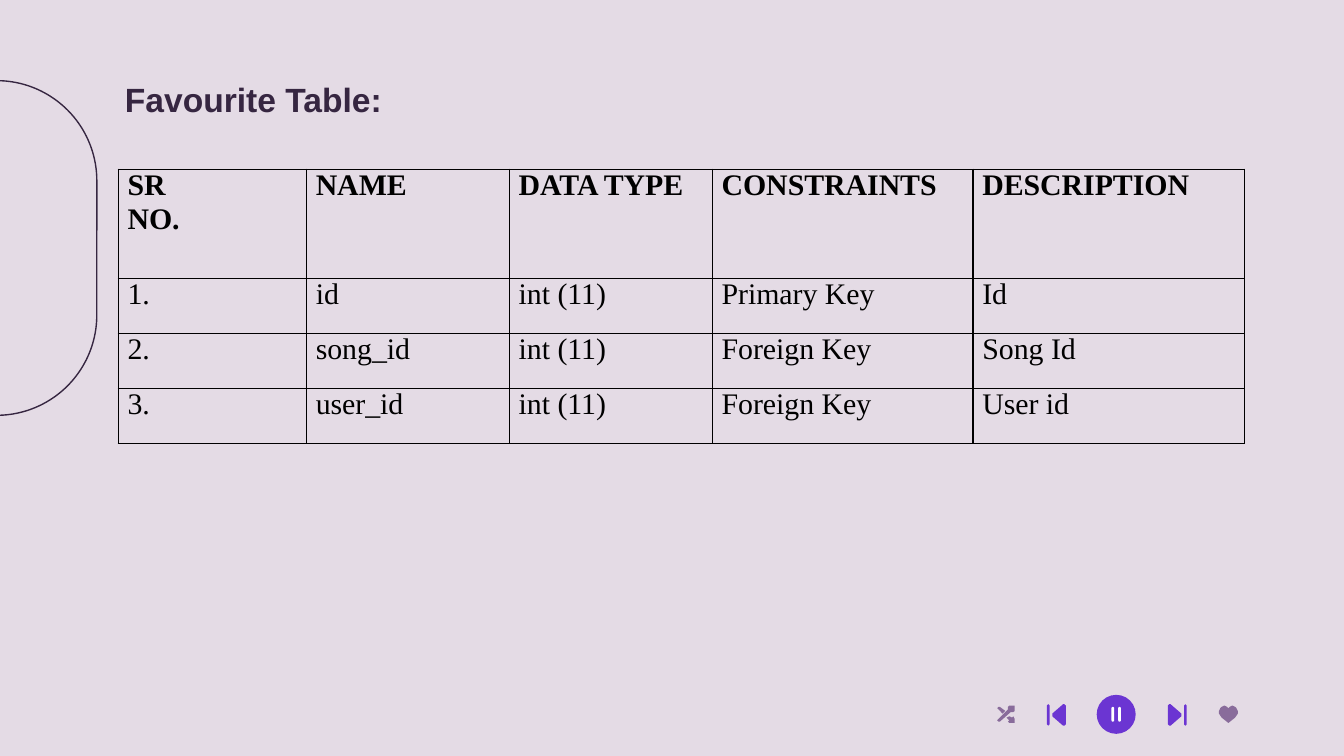
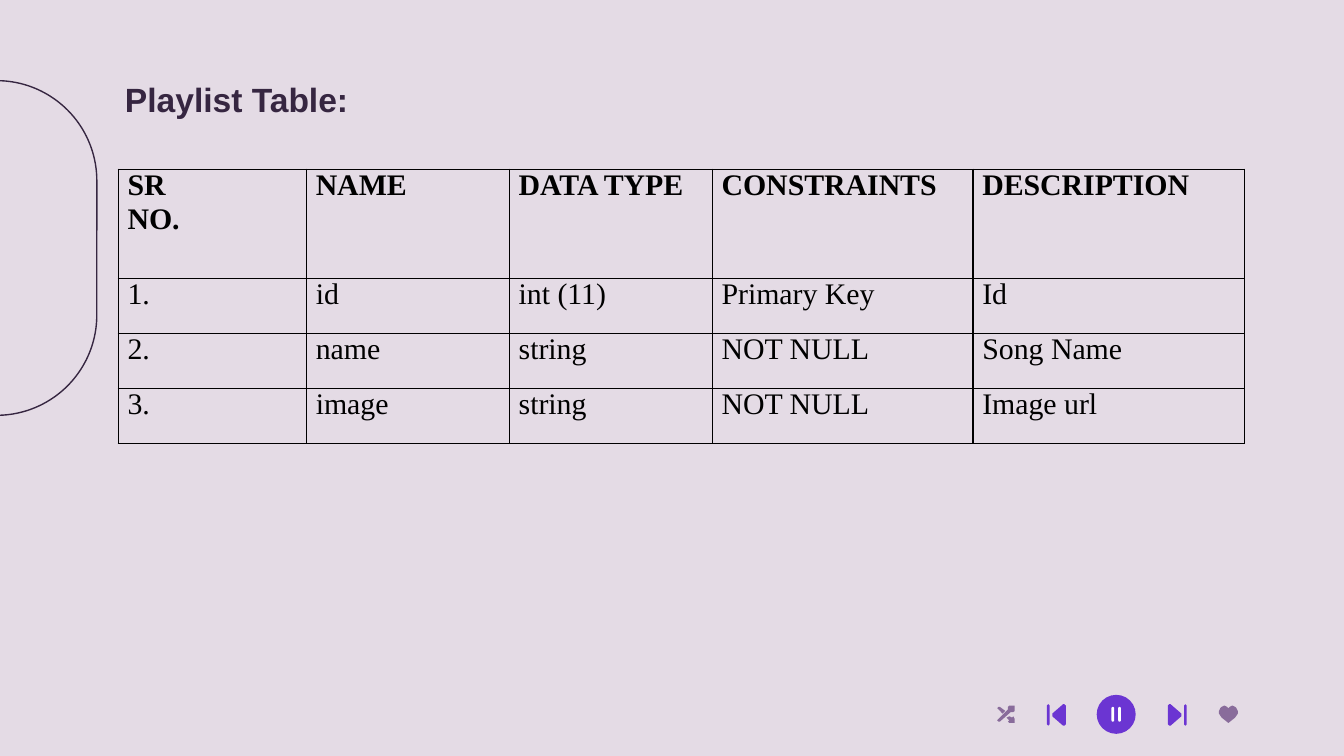
from dataclasses import dataclass

from lxml import etree
from pptx import Presentation
from pptx import util as u
from pptx.dml.color import RGBColor
from pptx.enum import shapes, text
from pptx.oxml import ns

# Shared style: 100 px to the inch, on a 16:9 page
PX = 9144
PAGE_WIDTH = 1000
BACKGROUND, INK, BLACK, WHITE = "E4DBE5", "362641", "000000", "FFFFFF"
VIOLET, MAUVE = "6B35D2", "896C9B"
TITLE_FONT, TABLE_FONT = "Arial", "Times New Roman"

# Table grid
TABLE_LEFT, TABLE_TOP = 88, 126
COLUMN_WIDTHS = (140, 151, 151, 194, 202)
HEADER_HEIGHT, ROW_HEIGHT = 81, 41
HEADER = ("SR\nNO.", "NAME", "DATA TYPE", "CONSTRAINTS", "DESCRIPTION")

Contour = tuple[tuple[int, int], ...]


@dataclass(frozen=True)
class Icon:
    left: int
    top: int
    color: str
    contours: tuple[Contour, ...]


@dataclass(frozen=True)
class TablePage:
    title: str
    rows: tuple[tuple[str, ...], ...]


# Player icons, as outlines measured from each icon's corner
SKIP_WIDTH = 14
SKIP_BACK: tuple[Contour, ...] = (
    ((0, 1), (1, 0), (2, 1), (2, 15), (1, 16), (0, 15)),
    ((4, 7), (12, 0), (13, 0), (14, 1), (14, 15), (13, 16), (12, 16), (4, 9)),
)
SKIP_NEXT = tuple(tuple((SKIP_WIDTH - x, y) for x, y in contour) for contour in SKIP_BACK)
SHUFFLE: tuple[Contour, ...] = (
    ((0, 2), (1, 1), (2, 1), (6, 4), (4, 6)),
    ((12, 8), (13, 10), (13, 13), (9, 13), (8, 12), (9, 11), (7, 9), (9, 8), (11, 9)),
    ((10, 5), (2, 12), (1, 12), (0, 11), (8, 3), (8, 1), (9, 0), (13, 0), (13, 4), (12, 5)),
)
HEART: tuple[Contour, ...] = (
    ((0, 4), (1, 2), (2, 1), (4, 0), (6, 1), (7, 2), (8, 1), (10, 0),
     (12, 1), (13, 2), (14, 4), (14, 6), (12, 9), (7, 13), (2, 9), (0, 6)),
)
ICONS = (
    Icon(742, 525, MAUVE, SHUFFLE),
    Icon(779, 524, VIOLET, SKIP_BACK),
    Icon(869, 524, VIOLET, SKIP_NEXT),
    Icon(907, 525, MAUVE, HEART),
)

PAGES = (
    TablePage("Favourite Table:", (
        ("1.", "id", "int (11)", "Primary Key", "Id"),
        ("2.", "song_id", "int (11)", "Foreign Key", "Song Id"),
        ("3.", "user_id", "int (11)", "Foreign Key", "User id"),
    )),
    TablePage("Playlist Table:", (
        ("1.", "id", "int (11)", "Primary Key", "Id"),
        ("2.", "name", "string", "NOT NULL", "Song Name"),
        ("3.", "image", "string", "NOT NULL", "Image url"),
    )),
)


def px(length: int) -> u.Emu:
    return u.Emu(length * PX)


def rgb(color: str) -> RGBColor:
    return RGBColor.from_string(color)


def paint(shape, fill: str | None, line: str | None = None) -> None:
    shape.shadow.inherit = False
    if fill:
        shape.fill.solid()
        shape.fill.fore_color.rgb = rgb(fill)
    else:
        shape.fill.background()
    if line:
        shape.line.color.rgb = rgb(line)
        shape.line.width = u.Pt(0.75)
    else:
        shape.line.fill.background()


def add_preset(page, kind, left: int, top: int, width: int, height: int,
               fill: str | None, line: str | None = None):
    shape = page.shapes.add_shape(kind, px(left), px(top), px(width), px(height))
    paint(shape, fill, line)
    return shape


def add_icon(page, icon: Icon) -> None:
    outline = None
    for contour in icon.contours:
        points = [(icon.left + x, icon.top + y) for x, y in contour]
        if outline is None:
            outline = page.shapes.build_freeform(*points[0], scale=PX)
        else:
            outline.move_to(*points[0])
        outline.add_line_segments(points[1:], close=True)
    paint(outline.convert_to_shape(), icon.color)


def add_decoration(page) -> None:
    # Rounded outline entering from the left edge
    arch = add_preset(page, shapes.MSO_SHAPE.ROUNDED_RECTANGLE, -127, 110, 249, 149, None, INK)
    arch.adjustments[0] = 0.5
    arch.rotation = 90
    # Player controls
    for icon in ICONS:
        add_icon(page, icon)
    add_preset(page, shapes.MSO_SHAPE.OVAL, 816, 517, 29, 29, VIOLET)
    for left in (827, 832):
        bar = add_preset(page, shapes.MSO_SHAPE.ROUNDED_RECTANGLE, left, 526, 2, 11, WHITE)
        bar.adjustments[0] = 0.5


def add_span(para, words: str, font: str, size: int, color: str, bold: bool) -> None:
    span = para.add_run()
    span.text = words
    span.font.name = font
    span.font.size = u.Pt(size)
    span.font.color.rgb = rgb(color)
    span.font.bold = bold


def set_title(page, words: str) -> None:
    box = page.shapes.title
    box.left, box.top, box.width, box.height = px(83), px(49), px(843), px(63)
    frame = box.text_frame
    frame.word_wrap = True
    frame.auto_size = text.MSO_AUTO_SIZE.NONE
    frame.vertical_anchor = text.MSO_ANCHOR.TOP
    frame.margin_left = frame.margin_right = px(10)
    frame.margin_top = frame.margin_bottom = px(10)
    para = frame.paragraphs[0]
    para.alignment = text.PP_ALIGN.LEFT
    add_span(para, words, TITLE_FONT, 18, INK, True)


def add_borders(cell) -> None:
    properties = cell._tc.get_or_add_tcPr()
    for side in ("lnL", "lnR", "lnT", "lnB"):
        line = etree.SubElement(properties, ns.qn(f"a:{side}"), w=str(u.Pt(0.75)))
        fill = etree.SubElement(line, ns.qn("a:solidFill"))
        etree.SubElement(fill, ns.qn("a:srgbClr"), val=BLACK)


def fill_cell(cell, words: str, bold: bool) -> None:
    add_borders(cell)
    cell.fill.background()
    cell.margin_left = cell.margin_right = px(7)
    cell.margin_top = cell.margin_bottom = 0
    frame = cell.text_frame
    for index, line in enumerate(words.split("\n")):
        para = frame.add_paragraph() if index else frame.paragraphs[0]
        add_span(para, line, TABLE_FONT, 16, BLACK, bold)


def add_field_table(page, rows: tuple[tuple[str, ...], ...]) -> None:
    heights = (HEADER_HEIGHT,) + (ROW_HEIGHT,) * len(rows)
    table = page.shapes.add_table(
        len(heights), len(COLUMN_WIDTHS), px(TABLE_LEFT), px(TABLE_TOP),
        px(sum(COLUMN_WIDTHS)), px(sum(heights))).table
    table.horz_banding = False
    for column, width in zip(table.columns, COLUMN_WIDTHS):
        column.width = px(width)
    for row, height in zip(table.rows, heights):
        row.height = px(height)
    for row_index, values in enumerate((HEADER, *rows)):
        for column_index, words in enumerate(values):
            fill_cell(table.cell(row_index, column_index), words, row_index == 0)


def main() -> None:
    deck = Presentation()
    deck.slide_width = px(PAGE_WIDTH)
    deck.slide_height = u.Emu(deck.slide_width * 9 // 16)
    backdrop = deck.slide_master.background.fill
    backdrop.solid()
    backdrop.fore_color.rgb = rgb(BACKGROUND)
    title_only = deck.slide_layouts.get_by_name("Title Only")
    for content in PAGES:
        page = deck.slides.add_slide(title_only)
        add_decoration(page)
        add_field_table(page, content.rows)
        set_title(page, content.title)
    deck.save("out.pptx")


if __name__ == "__main__":
    main()
